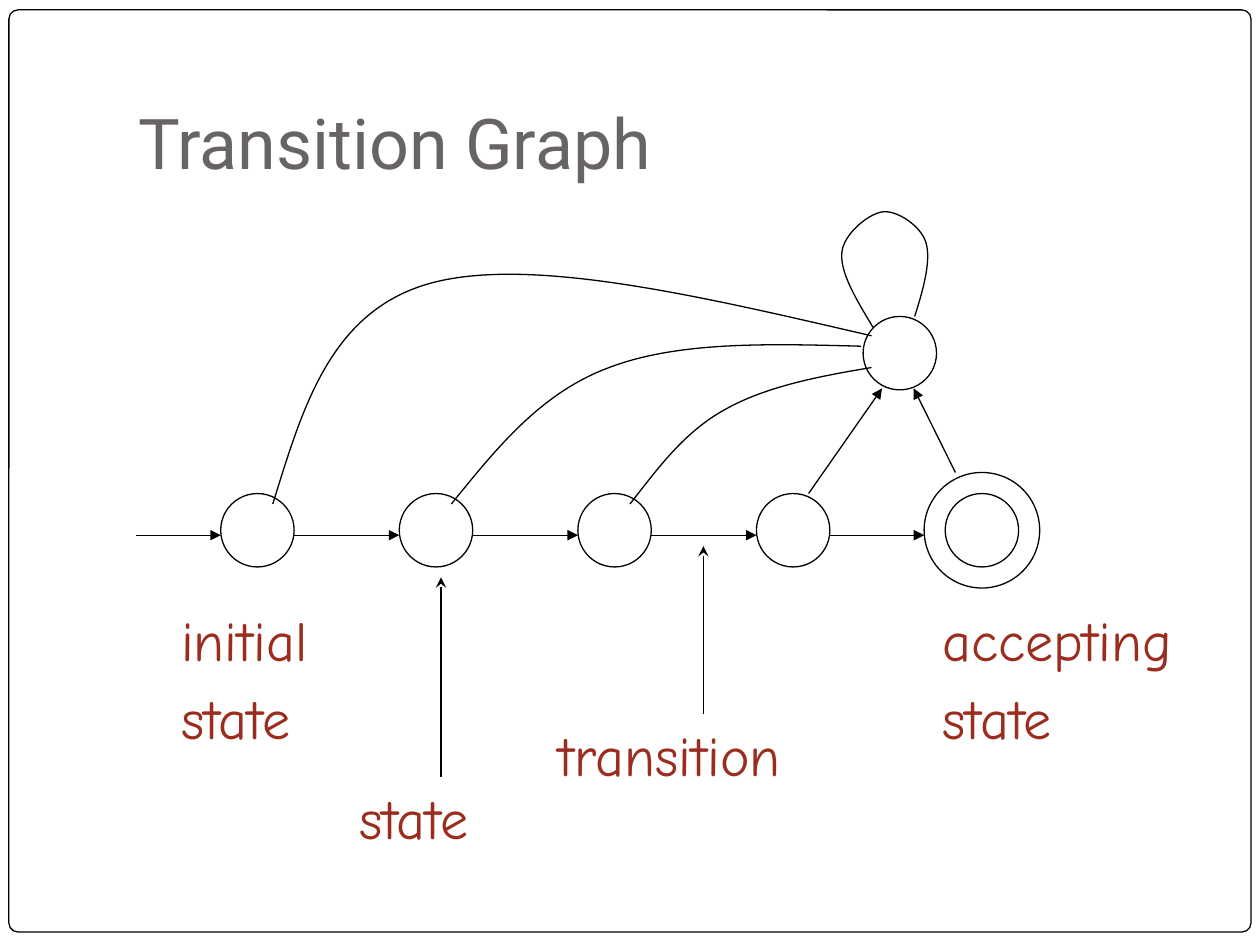
from dataclasses import dataclass

from lxml.etree import SubElement
from pptx import Presentation
from pptx.dml.color import RGBColor
from pptx.enum.shapes import MSO_CONNECTOR, MSO_SHAPE
from pptx.enum.text import MSO_ANCHOR, MSO_AUTO_SIZE, PP_ALIGN
from pptx.oxml.ns import qn
from pptx.util import Cm, Pt


@dataclass(frozen=True)
class Theme:
    ink: RGBColor = RGBColor(0, 0, 0)
    paper: RGBColor = RGBColor(255, 255, 255)
    head: RGBColor = RGBColor(0x69, 0x64, 0x64)
    note: RGBColor = RGBColor(0x9B, 0x2D, 0x1F)
    head_font: str = "Roboto"
    note_font: str = "Comic Neue"
    head_size: float = 40
    note_size: float = 32
    gap: float = 6.4
    line: float = 0.75


THEME = Theme()
DISC = 1.48  # width of a state circle, cm
RING = 2.33  # width of the accepting ring, cm


def write(frame, text, font, size, color, inset=(0.25, 0.13, 0.25, 0.13)):
    """Fill a text frame, one paragraph for each line of text."""
    frame.word_wrap = True
    frame.margin_left, frame.margin_top, frame.margin_right, frame.margin_bottom = map(Cm, inset)
    for i, line in enumerate(text.split("\n")):
        para = frame.paragraphs[0] if i == 0 else frame.add_paragraph()
        para.text = line
        para.alignment = PP_ALIGN.LEFT
        para.space_before = Pt(THEME.gap if i else 0)
        para.font.name, para.font.size = font, Pt(size)
        para.font.color.rgb = color


def draw(shape, fill=None):
    """Thin dark outline, no shadow."""
    shape.shadow.inherit = False
    if fill is None:
        shape.fill.background()
    else:
        shape.fill.solid()
        shape.fill.fore_color.rgb = fill
    shape.line.color.rgb = THEME.ink
    shape.line.width = Pt(THEME.line)


def disc(slide, box, x, y, size=DISC):
    left, top = box
    draw(slide.shapes.add_shape(
        MSO_SHAPE.OVAL, Cm(left + x), Cm(top + y), Cm(size), Cm(size)))


def arrow(slide, box, start, end, tip="triangle"):
    left, top = box
    link = slide.shapes.add_connector(
        MSO_CONNECTOR.STRAIGHT, Cm(left + start[0]), Cm(top + start[1]),
        Cm(left + end[0]), Cm(top + end[1]))
    link.line.color.rgb = THEME.ink
    link.line.width = Pt(THEME.line)
    SubElement(link.line._get_or_add_ln(), qn("a:tailEnd"), type=tip)
    SubElement(link.element.spPr, qn("a:effectLst"))


def curve(slide, box, points):
    """Bezier line: a start point, then three points for each span."""
    left, top = box
    spots = [(Cm(left + x), Cm(top + y)) for x, y in points]
    pen = slide.shapes.build_freeform(*spots[0])
    pen.add_line_segments(spots[1:], close=False)
    shape = pen.convert_to_shape()
    lines = list(shape.element.iter(qn("a:lnTo")))
    for i in range(0, len(lines), 3):
        span = SubElement(lines[i].getparent(), qn("a:cubicBezTo"))
        for line in lines[i:i + 3]:
            span.append(line[0])
            line.getparent().remove(line)
    draw(shape)


def header(slide, box):
    # Page frame, behind the title
    title = slide.shapes.title
    page = slide.shapes.add_shape(
        MSO_SHAPE.ROUNDED_RECTANGLE, Cm(0.18), Cm(0.2), Cm(25.04), Cm(18.59))
    page.adjustments[0] = 0.01
    draw(page, THEME.paper)
    title.element.addprevious(page.element)
    # Title
    title.left, title.top, title.width, title.height = map(Cm, box)
    write(title.text_frame, "Transition Graph", THEME.head_font,
          THEME.head_size, THEME.head, inset=(0.25, 0.13, 0.25, 0.25))
    title.text_frame.vertical_anchor = MSO_ANCHOR.BOTTOM
    title.text_frame.auto_size = MSO_AUTO_SIZE.NONE


def graph(slide, box):
    # Row of states, the last one ringed
    row, mid, rim = 5.72, 6.56, 15.88
    states = [1.7 + 3.6 * i for i in range(4)]
    for x in states + [rim + (RING - DISC) / 2]:
        disc(slide, box, x, row)
    ring_top = row - (RING - DISC) / 2
    disc(slide, box, rim, ring_top, RING)
    # Arrows along the row
    starts = [0] + [x + DISC for x in states]
    for start, end in zip(starts, states + [rim]):
        arrow(slide, box, (start, mid), (end, mid))
    # Trap state with its two straight arrows
    disc(slide, box, 14.65, 2.15)
    arrow(slide, box, (13.55, row), (15.03, 3.6))
    arrow(slide, box, (16.51, ring_top), (15.67, 3.6))
    # Curves from the first three states, and the loop
    curves = [
        [(2.75, 5.93), (3.35, 4), (3.9, 2.04), (5.93, 1.48),
         (7.94, 0.93), (11.37, 1.74), (14.82, 2.54)],
        [(6.35, 5.93), (7.26, 4.81), (8.15, 3.69), (9.53, 3.18),
         (10.92, 2.65), (12.74, 2.7), (14.61, 2.75)],
        [(9.95, 5.93), (10.51, 5.22), (11.04, 4.48), (11.86, 4.03),
         (12.67, 3.57), (13.73, 3.36), (14.82, 3.18)],
        [(14.85, 2.37), (14.52, 1.82), (14.19, 1.28), (14.22, 0.88),
         (14.24, 0.49), (14.78, 0.06), (15.06, 0.04),
         (15.33, 0.01), (15.82, 0.32), (15.92, 0.67),
         (16.02, 1.03), (15.87, 1.59), (15.69, 2.15)],
    ]
    for points in curves:
        curve(slide, box, points)


def labels(slide, box):
    left, top = box
    notes = [
        ("initial\nstate", 0, 1.07, 3.48, 3.23, 0.25),
        ("accepting\nstate", 14.59, 1.07, 6.2, 3.23, 1.01),
        ("state", 3.59, 4.66, 3.33, 1.6, 0.25),
        ("transition", 7.61, 3.39, 5.66, 1.6, 0.25),
    ]
    for text, x, y, wide, high, pad in notes:
        note = slide.shapes.add_textbox(
            Cm(left + x), Cm(top + y), Cm(wide), Cm(high))
        write(note.text_frame, text, THEME.note_font, THEME.note_size,
              THEME.note, inset=(pad, 0.13, 0.25, 0.13))
        note.text_frame.auto_size = MSO_AUTO_SIZE.SHAPE_TO_FIT_TEXT
    # Pointers from the labels to the graph
    for x, low, high in [(5.49, 4.66, 0.64), (10.78, 3.39, 0.01)]:
        arrow(slide, box, (x, low), (x, high), tip="stealth")


def main():
    deck = Presentation()
    deck.slide_width, deck.slide_height = Cm(25.4), Cm(19.05)
    slide = deck.slides.add_slide(deck.slide_layouts[5])
    header(slide, (2.54, 0.76, 21.59, 3.18))
    graph(slide, (2.75, 4.23))
    labels(slide, (3.4, 11))
    deck.save("out.pptx")


if __name__ == "__main__":
    main()
